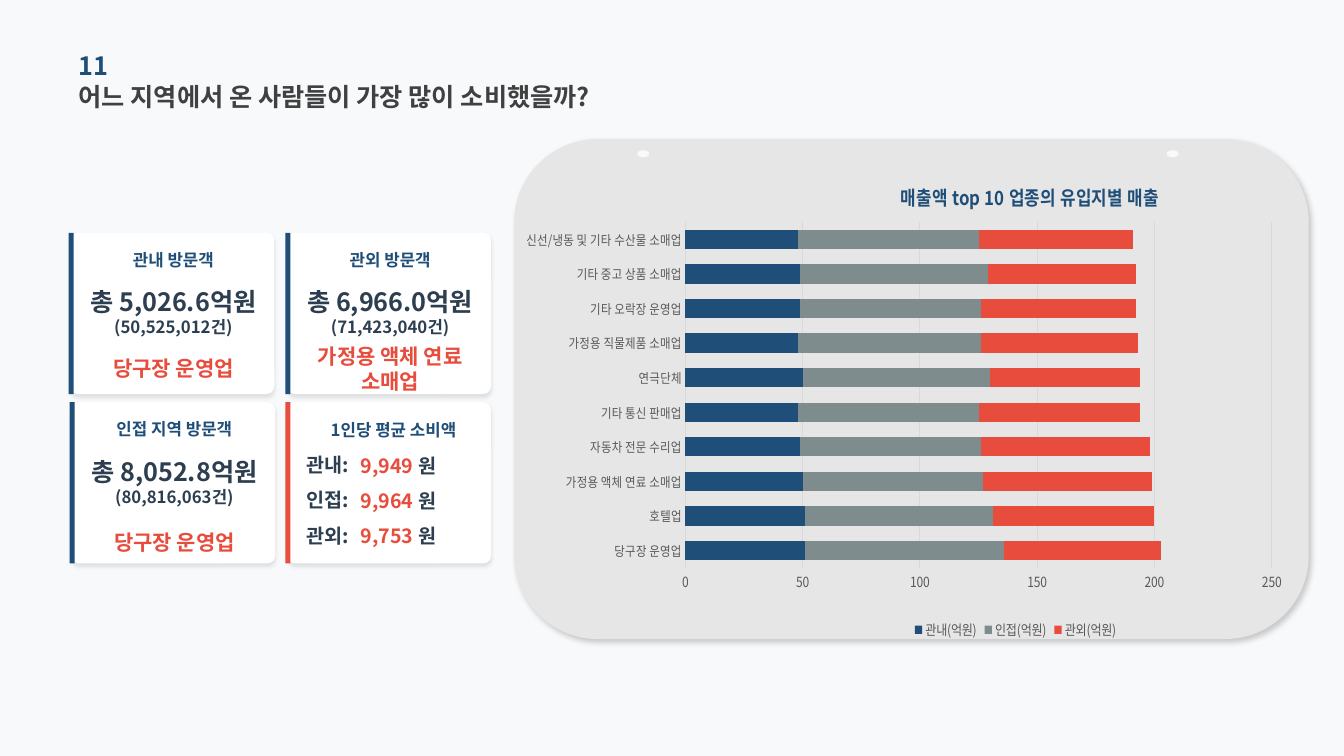
from dataclasses import dataclass

from lxml.etree import SubElement
from pptx import Presentation
from pptx.chart.data import CategoryChartData
from pptx.dml.color import RGBColor
from pptx.enum.chart import XL_CHART_TYPE, XL_LEGEND_POSITION, XL_TICK_MARK
from pptx.enum.shapes import MSO_SHAPE
from pptx.enum.text import MSO_ANCHOR, PP_ALIGN
from pptx.oxml import parse_xml
from pptx.oxml.ns import nsdecls, qn
from pptx.util import Inches, Pt


@dataclass(frozen=True)
class Theme:
    font: str = "Noto Sans CJK KR"
    background: str = "F8F9FA"
    panel: str = "E7E6E6"
    card: str = "FFFFFF"
    navy: str = "1F4E79"
    gray: str = "7F8C8D"
    red: str = "E74C3C"
    ink: str = "2C3E50"
    heading: str = "404040"
    axis_text: str = "595959"
    grid: str = "D9D9D9"
    heading_size: float = 18
    favourite_size: float = 15
    body_size: float = 14
    label_size: float = 12
    axis_size: float = 10
    category_size: float = 9.5


THEME = Theme()

# left, top, heading, total, count, favourite business, its drop below the top
VISITOR_CARDS = [
    (0.70, 2.31, "관내 방문객", "총 5,026.6억원", "(50,525,012건)", "당구장 운영업", 1.11),
    (2.85, 2.31, "관외 방문객", "총 6,966.0억원", "(71,423,040건)", "가정용 액체 연료 소매업", 1.11),
    (0.71, 3.99, "인접 지역 방문객", "총 8,052.8억원", "(80,816,063건)", "당구장 운영업", 1.15),
]
AVERAGES = [("관내:", "9,949 "), ("인접:", "9,964 "), ("관외:", "9,753 ")]
CATEGORIES = [
    "당구장 운영업", "호텔업", "가정용 액체 연료 소매업", "자동차 전문 수리업", "기타 통신 판매업",
    "연극단체", "가정용 직물제품 소매업", "기타 오락장 운영업", "기타 중고 상품 소매업",
    "신선/냉동 및 기타 수산물 소매업",
]
SALES = [
    ("관내(억원)", (51, 51, 50, 49, 48, 50, 48, 49, 49, 48), THEME.navy),
    ("인접(억원)", (85, 80, 77, 77, 77, 80, 78, 77, 80, 77), THEME.gray),
    ("관외(억원)", (67, 69, 72, 72, 69, 64, 67, 66, 63, 66), THEME.red),
]


def rgb(color):
    return RGBColor.from_string(color)


def style_font(font, size, color, bold=False):
    font.name, font.size, font.bold = THEME.font, Pt(size), bold
    font.color.rgb = rgb(color)


def add_text(slide, left, top, width, height, lines, align=PP_ALIGN.LEFT):
    """Each line is a list of (text, size, color) spans, all bold."""
    box = slide.shapes.add_textbox(Inches(left), Inches(top), Inches(width), Inches(height))
    frame = box.text_frame
    frame.word_wrap, frame.vertical_anchor = True, MSO_ANCHOR.MIDDLE
    frame.margin_left = frame.margin_top = frame.margin_right = frame.margin_bottom = 0
    para = frame.paragraphs[0]
    para.alignment = align
    for index, spans in enumerate(lines):
        if index:
            para.add_line_break()
        for text, size, color in spans:
            span = para.add_run()
            span.text = text
            style_font(span.font, size, color, True)


def add_block(slide, preset, left, top, width, height, color, corner=None):
    block = slide.shapes.add_shape(
        preset, Inches(left), Inches(top), Inches(width), Inches(height))
    block.shadow.inherit = False
    block.fill.solid()
    block.fill.fore_color.rgb = rgb(color)
    block.line.fill.background()
    if corner is not None:
        block.adjustments[0] = corner
    return block


def add_shadow(block, opacity, blur, distance, angle):
    """Opacity in percent, blur and distance in points, angle in degrees."""
    effects = block.element.spPr.find(qn("a:effectLst"))
    shadow = SubElement(effects, qn("a:outerShdw"), blurRad=str(Pt(blur)),
                        dist=str(Pt(distance)), dir=str(angle * 60000), rotWithShape="0")
    color = SubElement(shadow, qn("a:srgbClr"), val="000000")
    SubElement(color, qn("a:alpha"), val=str(opacity * 1000))


def add_card(slide, left, top, stripe_color):
    card = add_block(slide, MSO_SHAPE.ROUNDED_RECTANGLE, left, top, 2.02, 1.6, THEME.card, 0.048)
    add_shadow(card, 10, 3, 2, 90)
    add_block(slide, MSO_SHAPE.RECTANGLE, left - 0.02, top, 0.05, 1.6, stripe_color)


def add_visitor_card(slide, left, top, heading, total, count, favourite, drop):
    add_card(slide, left, top, THEME.navy)
    rows = [
        (0.11, 0.31, [[(heading, THEME.label_size, THEME.navy)]]),
        (0.55, 0.47, [[(total, THEME.heading_size, THEME.ink)],
                      [(count, THEME.label_size, THEME.ink)]]),
        (drop, 0.47, [[(favourite, THEME.favourite_size, THEME.red)]]),
    ]
    for offset, height, lines in rows:
        add_text(slide, left + 0.02, top + offset, 2, height, lines, PP_ALIGN.CENTER)


def add_average_card(slide):
    add_card(slide, 2.85, 3.99, THEME.red)
    add_text(slide, 3.28, 4.14, 1.4, 0.25,
             [[("1인당 평균 소비액", THEME.label_size, THEME.navy)]])
    for row, (region, amount) in enumerate(AVERAGES):
        top = 4.46 + row * 0.35
        add_text(slide, 3.04, top, 0.54, 0.3, [[(region, THEME.body_size, THEME.ink)]])
        add_text(slide, 3.58, top + 0.01, 1.2, 0.29,
                 [[(amount, THEME.body_size, THEME.red), ("원", THEME.body_size, THEME.ink)]])


def place(chart, tag, index, **fractions):
    """Give a chart part a manual layout, in fractions of the chart, as its child at index."""
    part = chart.element.find(f".//{qn(tag)}")
    for old in part.findall(qn("c:layout")):
        part.remove(old)
    layout = parse_xml(f"<c:layout {nsdecls('c')}><c:manualLayout/></c:layout>")
    manual = layout[0]
    if "w" in fractions:
        SubElement(manual, qn("c:layoutTarget"), val="inner")
    for axis in "xy":
        SubElement(manual, qn(f"c:{axis}Mode"), val="edge")
    for name, value in fractions.items():
        SubElement(manual, qn(f"c:{name}"), val=str(value))
    part.insert(index, layout)


def add_sales_chart(slide):
    data = CategoryChartData()
    data.categories = CATEGORIES
    for name, values, _ in SALES:
        data.add_series(name, values)
    chart = slide.shapes.add_chart(XL_CHART_TYPE.BAR_STACKED, Inches(5.22), Inches(1.56),
                                   Inches(7.61), Inches(4.84), data).chart
    style_font(chart.font, THEME.axis_size, THEME.axis_text)

    plot = chart.plots[0]
    plot.gap_width, plot.overlap, plot.vary_by_categories = 80, 100, False
    for series, (_, _, color) in zip(plot.series, SALES):
        series.format.fill.solid()
        series.format.fill.fore_color.rgb = rgb(color)

    categories, values = chart.category_axis, chart.value_axis
    for axis, size in ((categories, THEME.category_size), (values, THEME.axis_size)):
        axis.major_tick_mark = axis.minor_tick_mark = XL_TICK_MARK.NONE
        style_font(axis.tick_labels.font, size, THEME.axis_text)
    values.minimum_scale, values.maximum_scale, values.major_unit = 0, 250, 50
    values.has_major_gridlines = True
    values.format.line.fill.background()
    for line in (categories.format.line, values.major_gridlines.format.line):
        line.color.rgb, line.width = rgb(THEME.grid), Pt(0.75)

    chart.has_title = True
    title = chart.chart_title.text_frame
    title.text = "매출액 top 10 업종의 유입지별 매출"
    style_font(title.paragraphs[0].runs[0].font, THEME.body_size, THEME.navy, True)
    chart.has_legend = True
    chart.legend.position = XL_LEGEND_POSITION.BOTTOM
    chart.legend.include_in_layout = False
    style_font(chart.legend.font, THEME.axis_size, THEME.axis_text)

    place(chart, "c:plotArea", 0, x=0.078, y=0.133, w=0.889, h=0.709)
    place(chart, "c:title", 1, x=0.4, y=0.04)
    place(chart, "c:legend", 1, x=0.42, y=0.94)
    return chart


def set_korean_font(root):
    for latin in list(root.iter(qn("a:latin"))):
        latin.addnext(parse_xml(f'<a:ea {nsdecls("a")} typeface="{THEME.font}"/>'))


def main():
    deck = Presentation()
    deck.slide_width, deck.slide_height = Inches(13.33), Inches(7.5)
    slide = deck.slides.add_slide(deck.slide_layouts[6])
    slide.background.fill.solid()
    slide.background.fill.fore_color.rgb = rgb(THEME.background)

    panel = add_block(slide, MSO_SHAPE.ROUNDED_RECTANGLE, 5.1, 1.38, 7.88, 4.96, THEME.panel)
    add_shadow(panel, 20, 4, 3, 45)
    for left in (6.32, 11.57):
        add_block(slide, MSO_SHAPE.OVAL, left, 1.49, 0.12, 0.07, THEME.background)
    add_text(slide, 0.78, 0.44, 4.52, 0.41, [[("11", THEME.heading_size, THEME.navy)]])
    add_text(slide, 0.78, 0.75, 5.35, 0.41,
             [[("어느 지역에서 온 사람들이 가장 많이 소비했을까?", THEME.heading_size, THEME.heading)]])
    for card in VISITOR_CARDS:
        add_visitor_card(slide, *card)
    add_average_card(slide)
    chart = add_sales_chart(slide)
    for root in (slide.element, chart.element):
        set_korean_font(root)
    deck.save("out.pptx")


if __name__ == "__main__":
    main()
